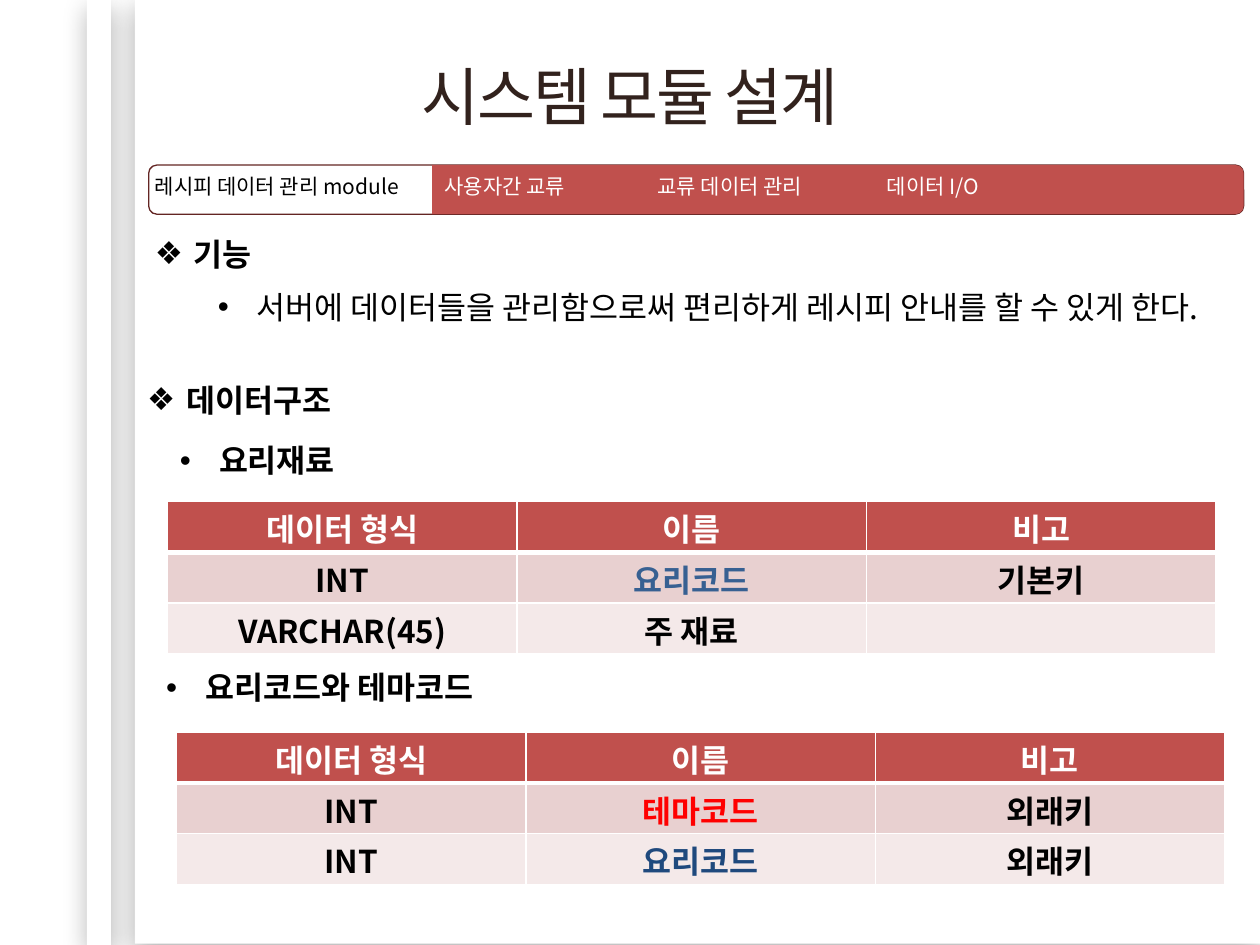
import pptx
import pptx.dml.color
import pptx.enum.shapes
import pptx.enum.text
import pptx.oxml
import pptx.oxml.ns
import pptx.util

Inches = pptx.util.Inches
Pt = pptx.util.Pt
SHAPES = pptx.enum.shapes.MSO_SHAPE
ALIGN = pptx.enum.text.PP_ALIGN
ANCHOR = pptx.enum.text.MSO_ANCHOR
FONT = "Noto Sans CJK KR"
RED, WHITE, BLACK = "C0504D", "FFFFFF", "000000"


def color(value):
    """Turn a hex string into a colour."""
    return pptx.dml.color.RGBColor.from_string(value)


def add_xml(parent, tag, content="", **attributes):
    """Append a drawing element to a parent."""
    listed = "".join(f' {name}="{value}"' for name, value in attributes.items())
    parent.append(pptx.oxml.parse_xml(
        f'<a:{tag} {pptx.oxml.ns.nsdecls("a")}{listed}>{content}</a:{tag}>'))


def add_span(para, text, size, fill, bold=False):
    """Add one styled run to a paragraph."""
    span = para.add_run()
    span.text = text
    span.font.size = Pt(size)
    span.font.bold = bold
    span.font.name = FONT
    span.font.color.rgb = color(fill)
    add_xml(span.font._element, "ea", typeface=FONT)
    return span


def add_text_box(page, box):
    """Add an empty wrapping text box and return its frame."""
    frame = page.shapes.add_textbox(*map(Inches, box)).text_frame
    frame.word_wrap = True
    return frame


def add_bullet(para, mark, text, bold=True, indent=0.31):
    """Fill a paragraph with a hanging bullet line."""
    properties = para._p.get_or_add_pPr()
    properties.set("marL", str(Inches(indent)))
    properties.set("indent", str(Inches(-0.31)))
    add_xml(properties, "buFont", typeface="Arial")
    add_xml(properties, "buChar", char=mark)
    para.line_spacing = 0.85
    add_span(para, text, 18, BLACK, bold)


def add_heading(page, box, mark, text):
    """Add a bulleted heading in its own box."""
    add_bullet(add_text_box(page, box).paragraphs[0], mark, text)


def add_panel(page, kind, box, fill, line=None):
    """Add a filled shape with an optional thin outline."""
    panel = page.shapes.add_shape(kind, *map(Inches, box))
    panel.shadow.inherit = False
    panel.fill.solid()
    panel.fill.fore_color.rgb = color(fill)
    if line:
        panel.line.color.rgb = color(line)
        panel.line.width = Pt(0)
    else:
        panel.line.fill.background()
    return panel


def add_sheet(page, box):
    """Add a white sheet with a soft shadow."""
    sheet = add_panel(page, SHAPES.RECTANGLE, box, WHITE)
    effects = sheet._element.spPr.find(pptx.oxml.ns.qn("a:effectLst"))
    add_xml(effects, "outerShdw",
            '<a:srgbClr val="000000"><a:alpha val="30000"/></a:srgbClr>',
            blurRad=Pt(15), dist=Pt(5), dir=5400000, rotWithShape=0)


def add_title(page, box, text):
    """Add the centred page title."""
    frame = add_text_box(page, box)
    frame.vertical_anchor = ANCHOR.MIDDLE
    para = frame.paragraphs[0]
    para.alignment = ALIGN.CENTER
    span = add_span(para, text, 36, "32221D")
    span.font._element.set("spc", "-120")


def add_tabs(page, box, split, labels):
    """Add the module bar with its active part left of the split."""
    left, top, width, height = box
    add_panel(page, SHAPES.ROUNDED_RECTANGLE, box, WHITE, "632523")
    length = left + width - split
    bar = add_panel(page, SHAPES.ROUND_2_SAME_RECTANGLE,
                    (split + (length - height) / 2, top + (height - length) / 2,
                     height, length), RED)
    bar.rotation = 90
    for offset, text, fill in labels:
        para = add_text_box(page, (left + offset, top + 0.05, 2.5, 0.3)).paragraphs[0]
        para.line_spacing = 0.85
        add_span(para, text, 12, fill)


def add_function(page, box, heading, detail):
    """Add the function heading with its description."""
    frame = add_text_box(page, box)
    add_bullet(frame.paragraphs[0], "❖", heading)
    para = frame.add_paragraph()
    para.level = 1
    para.space_before = Pt(12)
    add_bullet(para, "•", detail, bold=False, indent=0.81)


def style_cell(cell, text, fill, ink, bottom):
    """Fill, border and label one table cell."""
    cell.fill.solid()
    cell.fill.fore_color.rgb = color(fill)
    cell.margin_top, cell.margin_bottom = Inches(0.03), 0
    properties = cell._tc.get_or_add_tcPr()
    for index, (side, width) in enumerate(
            (("lnL", 1), ("lnR", 1), ("lnT", 1), ("lnB", bottom))):
        add_xml(properties, side,
                '<a:solidFill><a:srgbClr val="FFFFFF"/></a:solidFill>', w=Pt(width))
        properties.insert(index, properties[-1])
    para = cell.text_frame.paragraphs[0]
    para.alignment = ALIGN.CENTER
    para.font.size = Pt(18)
    if text:
        add_span(para, text, 18, ink, True)


def add_fields(page, box, rows, inks):
    """Add a field table with a header row."""
    rows = [("데이터 형식", "이름", "비고"), *rows]
    table = page.shapes.add_table(len(rows), 3, *map(Inches, box)).table
    for row, values in enumerate(rows):
        table.rows[row].height = Inches(box[3] / len(rows))
        fill = (RED, "E8D0D0", "F4E9E9")[row]
        for column, text in enumerate(values):
            ink = inks.get(text, BLACK) if row else WHITE
            style_cell(table.cell(row, column), text, fill, ink,
                       1 if row else 3)


def main():
    """Build and save the page."""
    deck = pptx.Presentation()
    deck.slide_width, deck.slide_height = Inches(10), Inches(7.5)
    page = deck.slides.add_slide(deck.slide_layouts[6])
    add_sheet(page, (1.07, -0.01, 8.93, 7.5))
    add_sheet(page, (0.69, 0, 0.19, 7.5))
    add_title(page, (0.5, 0.36, 9, 0.79), "시스템 모듈 설계")
    add_function(page, (1.13, 1.86, 8.81, 1.1), "기능",
                 "서버에 데이터들을 관리함으로써 편리하게 레시피 안내를 할 수 있게 한다.")
    add_heading(page, (1.07, 3.02, 8.81, 0.4), "❖", "데이터구조")
    add_heading(page, (1.33, 3.5, 3.62, 0.4), "•", "요리재료")
    add_fields(page, (1.33, 3.98, 8.32, 1.21),
               [("INT", "요리코드", "기본키"), ("VARCHAR(45)", "주 재료", "")],
               {"요리코드": "376092"})
    add_tabs(page, (1.18, 1.31, 8.69, 0.39), 3.43,
             [(-0.05, "레시피 데이터 관리 module", BLACK),
              (2.25, "사용자간 교류", WHITE),
              (3.94, "교류 데이터 관리", WHITE),
              (5.76, "데이터 I/O", WHITE)])
    add_heading(page, (1.22, 5.3, 3.62, 0.4), "•", "요리코드와 테마코드")
    add_fields(page, (1.4, 5.81, 8.32, 1.21),
               [("INT", "테마코드", "외래키"), ("INT", "요리코드", "외래키")],
               {"테마코드": "FF0000", "요리코드": "1F497D"})
    deck.save("out.pptx")


if __name__ == "__main__":
    main()
